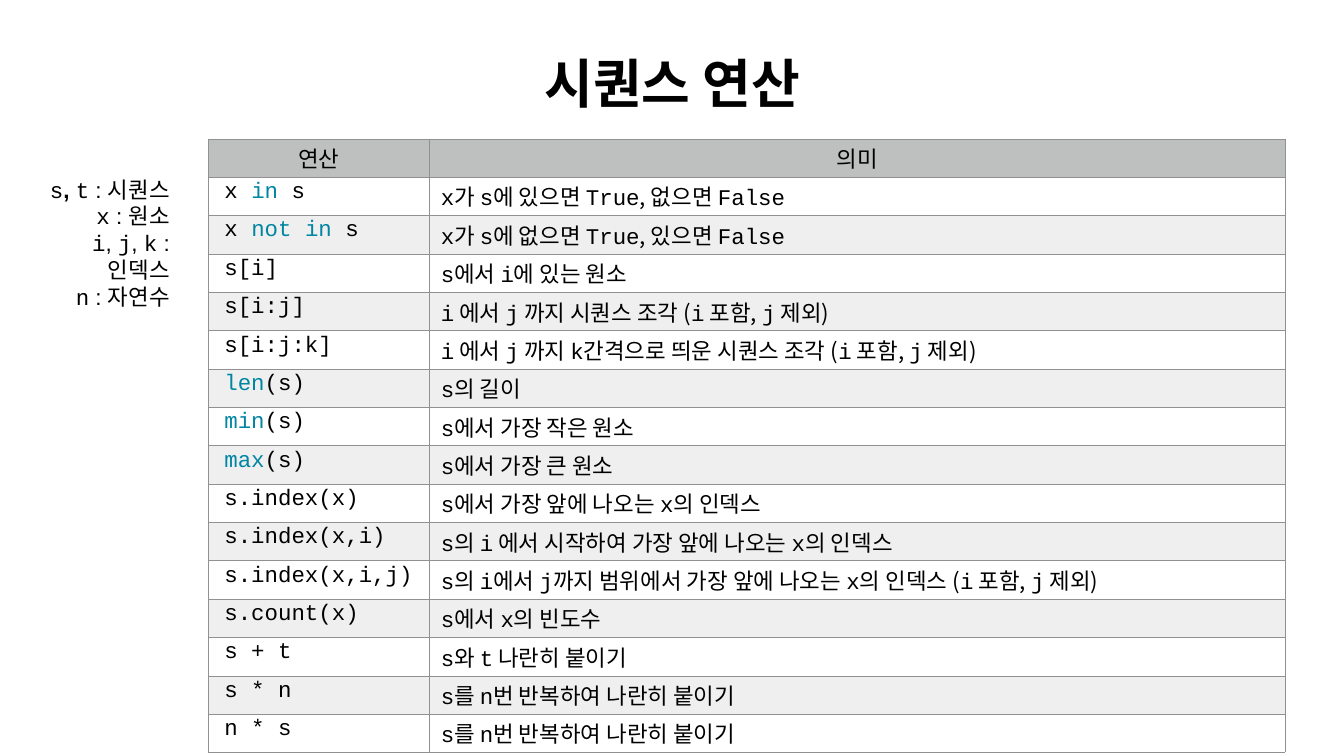
from dataclasses import dataclass

import pptx
import pptx.dml.color
import pptx.enum.text
import pptx.oxml.ns
import pptx.util
from lxml import etree

Pt = pptx.util.Pt
RGB = pptx.dml.color.RGBColor
ALIGN = pptx.enum.text.PP_ALIGN
ANCHOR = pptx.enum.text.MSO_ANCHOR
qn = pptx.oxml.ns.qn

BLACK = RGB(0x00, 0x00, 0x00)
WHITE = RGB(0xFF, 0xFF, 0xFF)
TEAL = RGB(0x00, 0x86, 0xA2)
HEADER = RGB(0xBE, 0xC0, 0xBF)
BAND = RGB(0xEF, 0xEF, 0xEF)
RULE = RGB(0x91, 0x91, 0x91)
KOREAN = "Noto Sans CJK KR"


@dataclass(frozen=True)
class Style:
    name: str
    color: RGB = BLACK
    size: float = 32
    bold: bool = False


@dataclass(frozen=True)
class Operation:
    code: str  # ~keyword~
    meaning: str  # `code`


TITLE = Style("Arial", size=75.6, bold=True)
LABEL = Style("Arial")
PROSE = Style(KOREAN)
CODE = Style("Courier New")
KEYWORD = Style("Courier New", TEAL)

OPERATIONS = [
    Operation("x ~in~ s", "`x`가 `s`에 있으면 `True`, 없으면 `False`"),
    Operation("x ~not in~ s", "`x`가 `s`에 없으면 `True`, 있으면 `False`"),
    Operation("s[i]", "`s에서 i`에 있는 원소"),
    Operation("s[i:j]", "`i` 에서 `j` 까지 시퀀스 조각 (`i` 포함, `j` 제외)"),
    Operation("s[i:j:k]", "`i` 에서 `j` 까지 `k`간격으로 띄운 시퀀스 조각 (`i` 포함, `j` 제외)"),
    Operation("~len~(s)", "`s`의 길이"),
    Operation("~min~(s)", "`s`에서 가장 작은 원소"),
    Operation("~max~(s)", "`s`에서 가장 큰 원소"),
    Operation("s.index(x)", "`s`에서 가장 앞에 나오는 `x`의 인덱스"),
    Operation("s.index(x,i)", "`s`의 `i` 에서 시작하여 가장 앞에 나오는 `x`의 인덱스"),
    Operation("s.index(x,i,j)",
              "`s`의 `i에서 j`까지 범위에서 가장 앞에 나오는 `x의` 인덱스 (`i` 포함, `j` 제외)"),
    Operation("s.count(x)", "`s`에서 `x`의 빈도수"),
    Operation("s + t", "`s`와 `t` 나란히 붙이기"),
    Operation("s * n", "`s`를 `n`번 반복하여 나란히 붙이기"),
    Operation("n * s", "`s`를 `n`번 반복하여 나란히 붙이기"),
]
NOTES = ["`s`, `t` : 시퀀스", "`x` : 원소", "`i`, `j`, `k` : 인덱스", "`n` : 자연수"]


def set_all(obj, values: dict) -> None:
    for key, value in values.items():
        setattr(obj, key, value)


def add_runs(p, text: str, outer: Style, inner: Style, mark: str = "`") -> None:
    """Write text, using the inner style between marks."""
    for i, piece in enumerate(text.split(mark)):
        if not piece:
            continue
        style = inner if i % 2 else outer
        r = p.add_run()
        r.text = piece
        set_all(r.font, {"name": style.name, "size": Pt(style.size), "bold": style.bold})
        r.font.color.rgb = style.color
        if style.name == KOREAN:
            latin = r.font._element.find(qn("a:latin"))
            ea = etree.Element(qn("a:ea"), typeface=KOREAN)
            latin.addnext(ea)


def add_text(s, box: tuple, inset: float, lines: list[str], style: Style, align, anchor):
    sp = s.shapes.add_textbox(*map(Pt, box))
    tf = sp.text_frame
    set_all(tf, {"word_wrap": True, "vertical_anchor": anchor,
                 **{f"margin_{side}": Pt(inset) for side in ("left", "top", "right", "bottom")}})
    for i, line in enumerate(lines):
        p = tf.add_paragraph() if i else tf.paragraphs[0]
        p.alignment = align
        add_runs(p, line, style, CODE)
    return sp


def add_borders(cell, top: float, bottom: float) -> None:
    tcPr = cell._tc.get_or_add_tcPr()
    for i, (side, width) in enumerate(
            {"L": 0.25, "R": 0.25, "T": top, "B": bottom}.items()):
        ln = etree.Element(qn(f"a:ln{side}"), w=str(int(Pt(width))))
        fill = etree.SubElement(ln, qn("a:solidFill"))
        etree.SubElement(fill, qn("a:srgbClr"), val=str(RULE))
        tcPr.insert(i, ln)


def format_cell(cell, fill: RGB, left: float, top: float, bottom: float):
    set_all(cell, {"margin_left": Pt(left), "margin_right": Pt(4.3),
                   "margin_top": Pt(4.3), "margin_bottom": Pt(4.3)})
    cell.fill.solid()
    cell.fill.fore_color.rgb = fill
    add_borders(cell, top, bottom)
    return cell.text_frame.paragraphs[0]


def add_operations(s) -> None:
    widths = (316, 1222.5)
    rows = len(OPERATIONS) + 1
    row_height = 54.8
    tbl = s.shapes.add_table(rows, 2, Pt(297.5), Pt(198), Pt(sum(widths)),
                             Pt(rows * row_height)).table
    set_all(tbl, {"first_row": False, "horz_banding": False})
    for col, width in zip(tbl.columns, widths):
        col.width = Pt(width)
    for row in tbl.rows:
        row.height = Pt(row_height)

    # Header row
    for c, heading in enumerate(("연산", "의미")):
        p = format_cell(tbl.cell(0, c), HEADER, 4.3, 0.25, 0.5)
        p.alignment = ALIGN.CENTER
        add_runs(p, heading, PROSE, CODE)

    # One row per operation, banded
    for i, op in enumerate(OPERATIONS, start=1):
        fill = WHITE if i % 2 else BAND
        top = 0.5 if i == 1 else 0.25
        p = format_cell(tbl.cell(i, 0), fill, 23, top, 0.25)
        add_runs(p, op.code, CODE, KEYWORD, "~")
        p = format_cell(tbl.cell(i, 1), fill, 16.2, top, 0.25)
        add_runs(p, op.meaning, PROSE, CODE)


def main() -> None:
    prs = pptx.Presentation()
    set_all(prs, {"slide_width": Pt(1920), "slide_height": Pt(1080)})
    s = prs.slides.add_slide(prs.slide_layouts[6])

    # Title
    sp = add_text(s, (737, 61, 446.5, 106), 4.3, ["시퀀스 연산"], TITLE,
                  ALIGN.CENTER, ANCHOR.BOTTOM)
    sp.fill.solid()
    sp.fill.fore_color.rgb = WHITE

    # Table of operations
    add_operations(s)

    # Key to the variable names
    sp = add_text(s, (33, 253.5, 215.5, 187), 5.8, NOTES, LABEL,
                  ALIGN.RIGHT, ANCHOR.MIDDLE)
    sp.text_frame.paragraphs[0].runs[1].font.bold = True

    prs.save("out.pptx")


if __name__ == "__main__":
    main()
